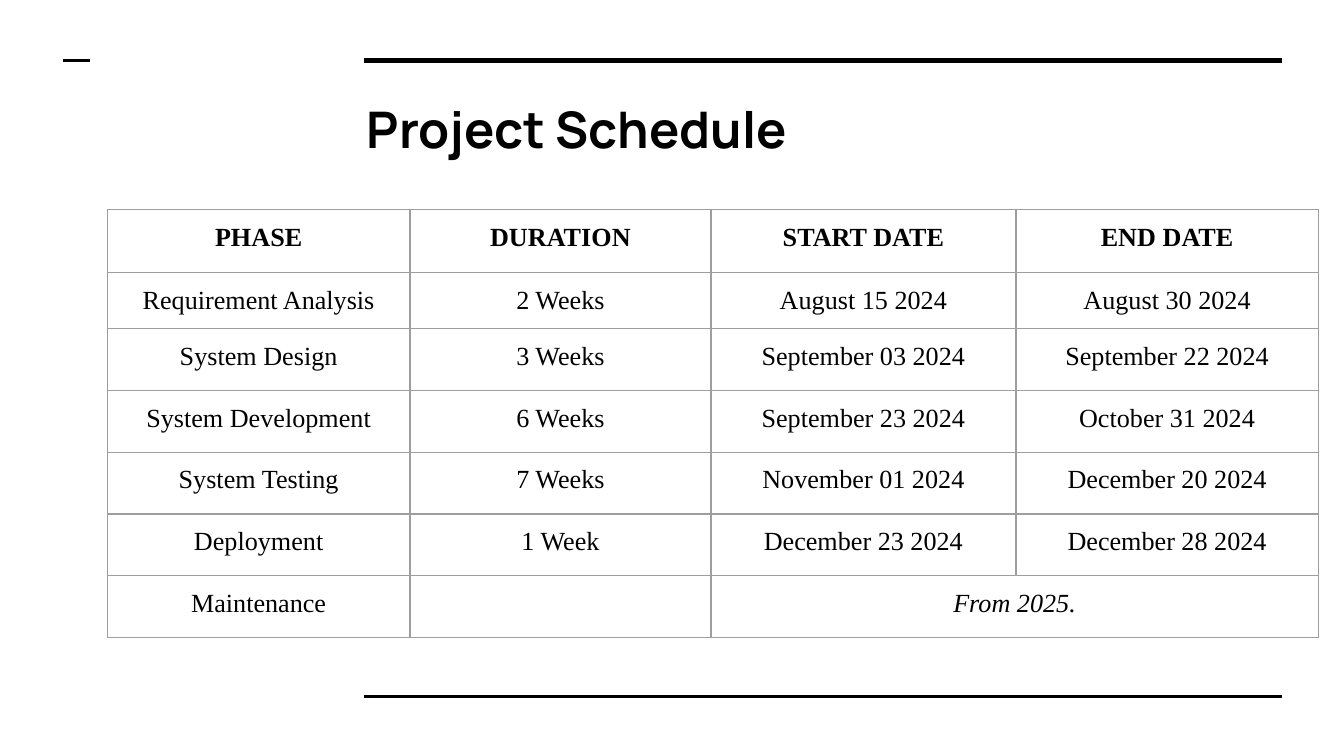
from lxml.etree import SubElement
from pptx import Presentation
from pptx.dml.color import RGBColor
from pptx.enum.shapes import MSO_CONNECTOR
from pptx.enum.text import MSO_ANCHOR, PP_ALIGN
from pptx.oxml.ns import qn
from pptx.util import Inches, Pt

BLACK = RGBColor(0x00, 0x00, 0x00)
WHITE = RGBColor(0xFF, 0xFF, 0xFF)
GRAY = RGBColor(0x9E, 0x9E, 0x9E)
TITLE_FONT = "Manrope"
TABLE_FONT = "Times New Roman"
MARGIN = Inches(0.1)

COLUMN_WIDTHS = [2.25, 2.24, 2.27, 2.25]
ROW_HEIGHTS = [0.47, 0.4] + [0.46] * 5
SCHEDULE = [
    ["PHASE", "DURATION", "START DATE", "END DATE"],
    ["Requirement Analysis", "2 Weeks", "August 15 2024", "August 30 2024"],
    ["System Design", "3 Weeks", "September 03 2024", "September 22 2024"],
    ["System Development", "6 Weeks", "September 23 2024", "October 31 2024"],
    ["System Testing", "7 Weeks", "November 01 2024", "December 20 2024"],
    ["Deployment", "1 Week", "December 23 2024", "December 28 2024"],
    ["Maintenance", "", "From 2025.", ""],
]


def format_run(run, font_name, size, bold=False, italic=False):
    run.font.name = font_name
    run.font.size = Pt(size)
    run.font.bold = bold
    run.font.italic = italic
    run.font.color.rgb = BLACK


def set_margins(target):
    target.margin_left = target.margin_right = MARGIN
    target.margin_top = target.margin_bottom = MARGIN


def add_rule(slide, left, top, width, weight):
    rule = slide.shapes.add_connector(
        MSO_CONNECTOR.STRAIGHT, Inches(left), Inches(top), Inches(left + width), Inches(top)
    )
    rule.line.color.rgb = BLACK
    rule.line.width = Pt(weight)
    SubElement(rule._element.spPr, qn("a:effectLst"))


def add_frame_rules(slide, left, top, width, height):
    content_offset = 2.24
    content_width = width - content_offset
    add_rule(slide, left + content_offset, top, content_width, 3)
    add_rule(slide, left + content_offset, top + height, content_width, 1.5)
    add_rule(slide, left, top, 0.2, 1.5)


def place_title(slide, left, top, width, height):
    title = slide.shapes.title
    title.left, title.top = Inches(left), Inches(top)
    title.width, title.height = Inches(width), Inches(height)
    text_frame = title.text_frame
    text_frame.text = "Project Schedule"
    text_frame.word_wrap = True
    text_frame.vertical_anchor = MSO_ANCHOR.MIDDLE
    set_margins(text_frame)
    paragraph = text_frame.paragraphs[0]
    paragraph.alignment = PP_ALIGN.LEFT
    format_run(paragraph.runs[0], TITLE_FONT, 27, bold=True)


def add_borders(cell):
    properties = cell._tc.get_or_add_tcPr()
    for position, side in enumerate(("a:lnL", "a:lnR", "a:lnT", "a:lnB")):
        border = SubElement(properties, qn(side), w=str(Pt(0.75)))
        properties.insert(position, border)
        fill = SubElement(border, qn("a:solidFill"))
        SubElement(fill, qn("a:srgbClr"), val=str(GRAY))


def fill_cell(cell, text, bold, italic):
    set_margins(cell)
    cell.vertical_anchor = MSO_ANCHOR.TOP
    cell.fill.background()
    add_borders(cell)
    cell.text_frame.text = text
    paragraph = cell.text_frame.paragraphs[0]
    paragraph.alignment = PP_ALIGN.CENTER
    for run in paragraph.runs:
        format_run(run, TABLE_FONT, 14, bold, italic)
    if not text:
        SubElement(paragraph._p, qn("a:endParaRPr"), sz="1400")


def add_schedule_table(slide, left, top, width, height):
    table = slide.shapes.add_table(
        len(SCHEDULE), len(COLUMN_WIDTHS),
        Inches(left), Inches(top), Inches(width), Inches(height),
    ).table
    table.horz_banding = False
    for column, column_width in zip(table.columns, COLUMN_WIDTHS):
        column.width = Inches(column_width)
    for row, row_height in zip(table.rows, ROW_HEIGHTS):
        row.height = Inches(row_height)
    last_row = len(SCHEDULE) - 1
    for row_index, values in enumerate(SCHEDULE):
        for column_index, text in enumerate(values):
            fill_cell(
                table.cell(row_index, column_index), text,
                bold=row_index == 0,
                italic=row_index == last_row and column_index >= 2,
            )
    table.cell(last_row, 2).merge(table.cell(last_row, 3))


def main():
    presentation = Presentation()
    presentation.slide_width = Inches(10)
    presentation.slide_height = presentation.slide_width * 9 // 16
    slide = presentation.slides.add_slide(presentation.slide_layouts[5])
    slide.background.fill.solid()
    slide.background.fill.fore_color.rgb = WHITE
    add_frame_rules(slide, 0.47, 0.45, 9.07, 4.73)
    place_title(slide, 2.63, 0.61, 6.91, 0.69)
    add_schedule_table(slide, 0.8, 1.56, sum(COLUMN_WIDTHS), sum(ROW_HEIGHTS))
    presentation.save("out.pptx")


if __name__ == "__main__":
    main()
